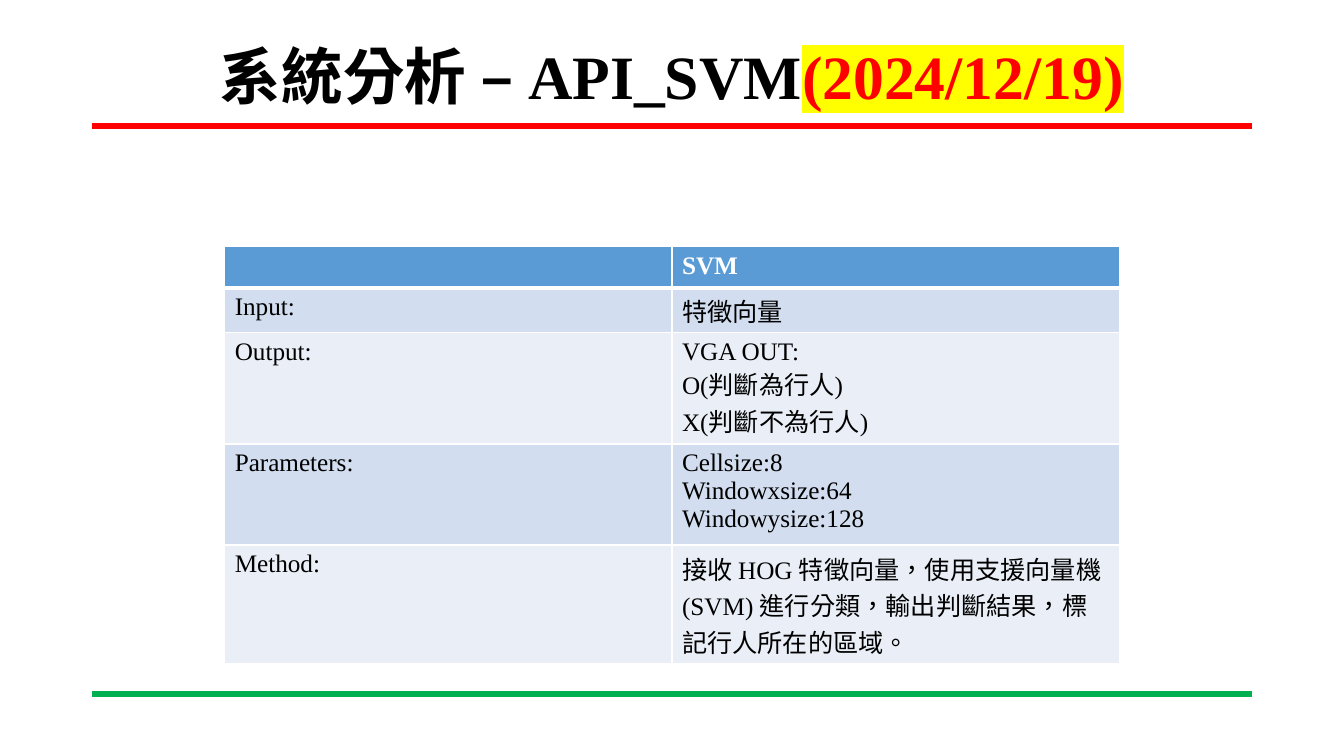
from lxml import etree
from pptx import Presentation
from pptx.dml.color import RGBColor
from pptx.enum.lang import MSO_LANGUAGE_ID
from pptx.enum.shapes import MSO_CONNECTOR
from pptx.enum.text import MSO_ANCHOR, PP_ALIGN
from pptx.oxml.ns import qn
from pptx.util import Pt

EMU_PER_PX = 9525
FONT = "Times New Roman"
STRAIGHT = MSO_CONNECTOR.STRAIGHT
MIDDLE = MSO_ANCHOR.MIDDLE
CENTER = PP_ALIGN.CENTER
LANGUAGE = MSO_LANGUAGE_ID.TRADITIONAL_CHINESE
COLORS = {
    "black": "000000",
    "white": "FFFFFF",
    "red": "FF0000",
    "green": "00B050",
    "yellow": "FFFF00",
    "header": "5B9BD5",
    "odd": "D2DEEF",
    "even": "EAEFF7",
}
ROWS = [
    (39, "", ["SVM"]),
    (43, "Input:", ["特徵向量"]),
    (106, "Output:", ["VGA OUT:", "O(判斷為行人)", "X(判斷不為行人)"]),
    (90, "Parameters:", ["Cellsize:8", "Windowxsize:64", "Windowysize:128"]),
    (113, "Method:", ["接收 HOG 特徵向量，使用支援向量機 (SVM) 進行分類，輸出判斷結果，標記行人所在的區域。"]),
]


def px(n):
    return n * EMU_PER_PX


def rgb(name):
    return RGBColor.from_string(COLORS[name])


def add_color(parent, tag, name):
    node = etree.SubElement(parent, qn(tag))
    etree.SubElement(node, qn("a:srgbClr"), val=COLORS[name])
    return node


def add_text(p, text, size=18, color="black", bold=False, highlight=None):
    r = p.add_run()
    r.text = text
    r.font.size = Pt(size)
    r.font.bold = bold
    r.font.name = FONT
    r.font.language_id = LANGUAGE
    r.font.color.rgb = rgb(color)
    if highlight:
        rpr = r.font._element
        mark = add_color(rpr, "a:highlight", highlight)
        rpr.find(qn("a:latin")).addprevious(mark)


def add_rule(slide, y, color):
    line = slide.shapes.add_connector(STRAIGHT, px(88), px(y), px(1192), px(y))
    line.line.color.rgb = rgb(color)
    line.line.width = Pt(4.5)
    etree.SubElement(line._element.spPr, qn("a:effectLst"))


def add_title(slide):
    sp = slide.shapes.add_textbox(px(88), px(38), px(1104), px(76))
    tf = sp.text_frame
    tf.word_wrap = True
    tf.vertical_anchor = MIDDLE
    p = tf.paragraphs[0]
    p.alignment = CENTER
    p.line_spacing = 0.9
    add_text(p, "系統分析 – API_SVM", size=44, bold=True)
    add_text(p, "(2024/12/19)", size=44, color="red", bold=True, highlight="yellow")


def set_borders(cell, top, bottom):
    tcpr = cell._tc.get_or_add_tcPr()
    for side, width in (("L", 1), ("R", 1), ("T", top), ("B", bottom)):
        ln = etree.SubElement(tcpr, qn("a:ln" + side), w=str(Pt(width)))
        add_color(ln, "a:solidFill", "white")


def fill_cell(cell, lines, row):
    header = row == 0
    set_borders(cell, top=3 if row == 1 else 1, bottom=3 if header else 1)
    cell.fill.solid()
    cell.fill.fore_color.rgb = rgb("header" if header else "odd" if row % 2 else "even")
    tf = cell.text_frame
    for i, text in enumerate(lines):
        p = tf.add_paragraph() if i else tf.paragraphs[0]
        if text:
            add_text(p, text, color="white" if header else "black", bold=header)


def add_svm_table(slide):
    total = sum(height for height, _, _ in ROWS)
    frame = slide.shapes.add_table(
        len(ROWS), 2, px(214), px(235), px(852), px(total))
    table = frame.table
    for row, (height, label, lines) in enumerate(ROWS):
        table.rows[row].height = px(height)
        fill_cell(table.cell(row, 0), [label], row)
        fill_cell(table.cell(row, 1), lines, row)


def main():
    prs = Presentation()
    prs.slide_width = px(1280)
    prs.slide_height = px(720)
    slide = prs.slides.add_slide(prs.slide_layouts[6])
    add_rule(slide, 120, "red")
    add_rule(slide, 661, "green")
    add_title(slide)
    add_svm_table(slide)
    prs.save("out.pptx")


if __name__ == "__main__":
    main()
